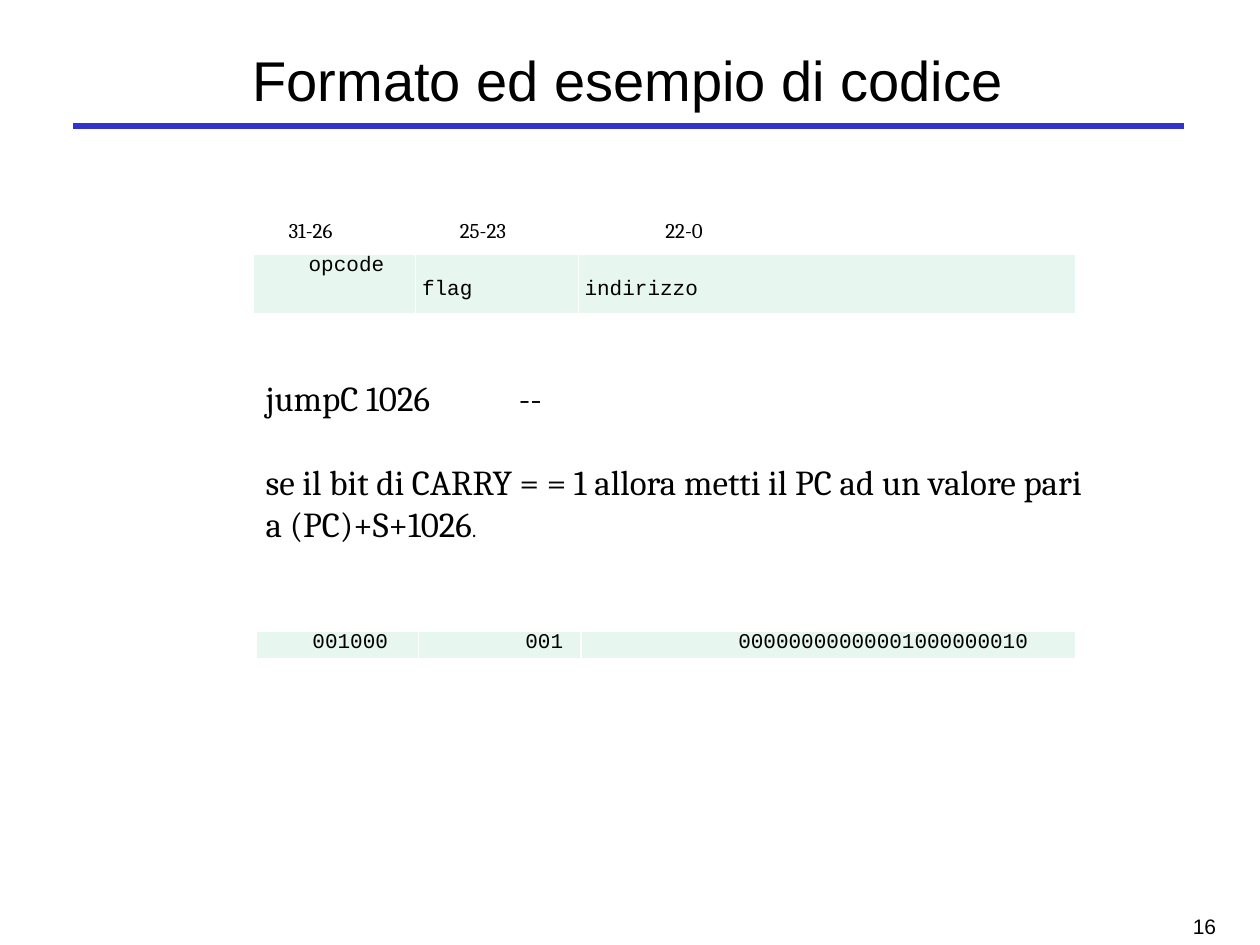
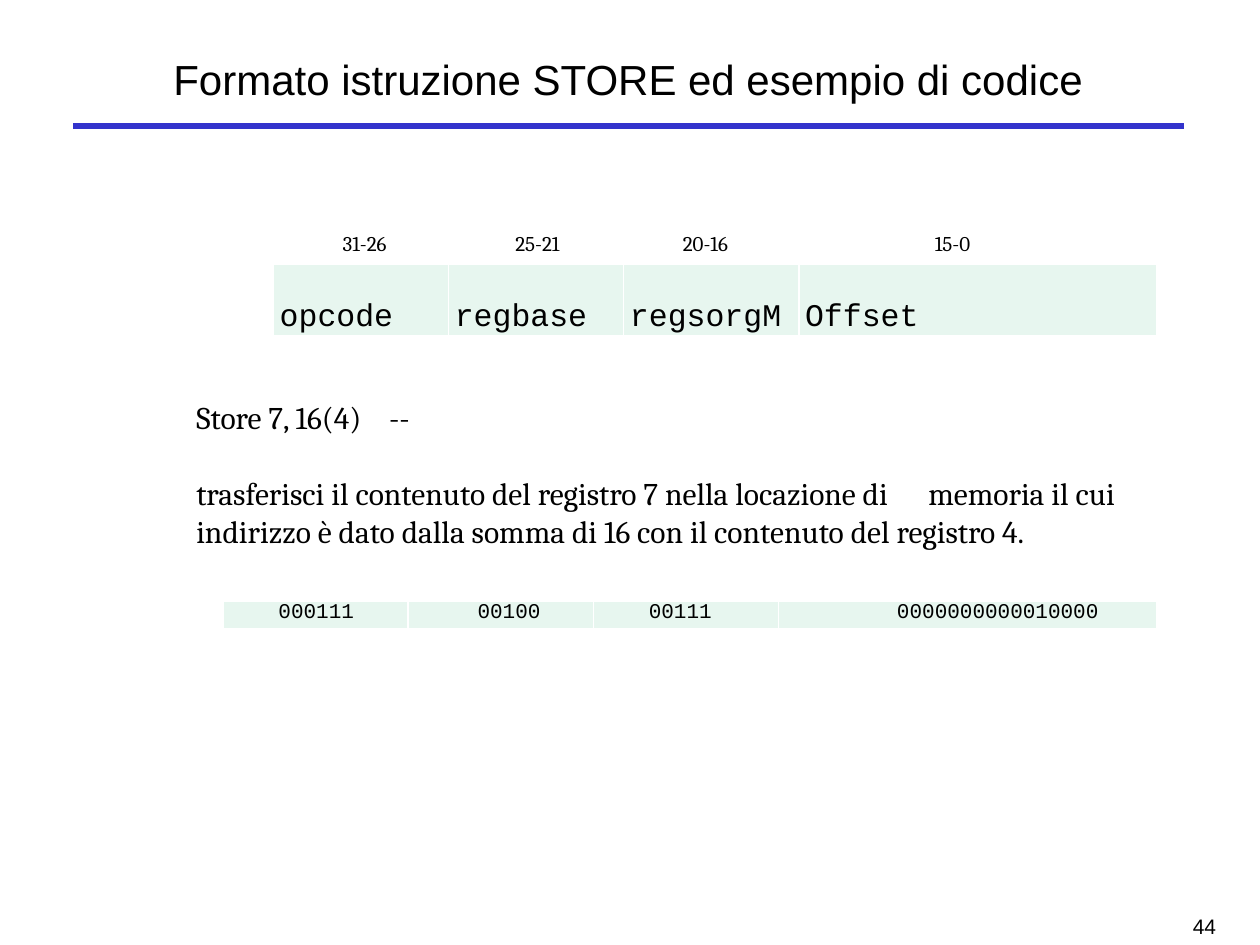
from pptx import Presentation, util as u
from pptx.dml.color import RGBColor
from pptx.enum import shapes, text
from pptx.oxml import ns
from lxml import etree

BLUE = RGBColor(0x33, 0x33, 0xCC)
MINT = RGBColor(0xE7, 0xF6, 0xEF)
WHITE = RGBColor(0xFF, 0xFF, 0xFF)
BLACK = RGBColor(0, 0, 0)

SLIDES = [
    {
        "title": "Formato ed esempio di codice", "size": 32, "page": "16",
        "bits": {"box": (2.01, 1.68, 4.88, 0.61), "inset": 0.28, "stops": (1.36, 2.99),
                 "size": 12, "gap": 0, "lines": ["31-26\t25-23\t22-0"]},
        "body": {"box": (2.01, 2.94, 6.77, 1.75), "inset": 0.1, "stops": (2.01,),
                 "size": 20, "gap": 24,
                 "lines": ["jumpC 1026\t--",
                           "se il bit di CARRY = = 1 allora metti il PC ad un valore pari a (PC)+S+1026"]},
        "end": ".",
        "tables": [
            {"at": (2.01, 2.02), "cols": (1.29, 1.29, 3.95), "high": 0.47, "size": 12,
             "cells": [("opcode", 0.44, 0), ("flag", 0.05, 0.19), ("indirizzo", 0.05, 0.19)]},
            {"at": (2.03, 5.01), "cols": (1.29, 1.29, 3.93), "high": 0.22, "size": 12,
             "cells": [("001000", 0.45, 0), ("001", 0.85, 0),
                       ("00000000000001000000010", 1.25, 0)]},
        ],
    },
    {
        "title": "Formato istruzione STORE ed esempio di codice", "size": 24, "page": "44",
        "bits": {"box": (2.48, 1.78, 6.46, 0.25), "inset": 0.24, "stops": (1.37, 2.7, 4.7),
                 "size": 12, "gap": 0, "lines": ["31-26\t25-21\t20-16\t15-0"]},
        "body": {"box": (1.46, 3.11, 8.03, 1.62), "inset": 0.1, "stops": (1.53, 5.81),
                 "size": 18, "gap": 22,
                 "lines": ["Store 7, 16(4)\t--",
                           "trasferisci il contenuto del registro 7 nella locazione di\tmemoria il cui "
                           "indirizzo è dato dalla somma di 16 con il contenuto del registro 4."]},
        "end": "",
        "tables": [
            {"at": (2.17, 2.1), "cols": (1.39, 1.39, 1.39, 2.84), "high": 0.56, "size": 18,
             "cells": [(name, 0.05, 0.28) for name in ("opcode", "regbase", "regsorgM", "Offset")]},
            {"at": (1.77, 4.77), "cols": (1.47, 1.47, 1.47, 3), "high": 0.22, "size": 12,
             "cells": [("000111", 0.44, 0), ("00100", 0.55, 0), ("00111", 0.44, 0),
                       ("0000000000010000", 0.94, 0)]},
        ],
    },
]


def style(item, look):
    for key, value in look.items():
        setattr(item, key, value)


def write(para, words, name, size):
    run = para.add_run()
    run.text = words
    style(run.font, {"name": name, "size": u.Pt(size), "bold": False})
    run.font.color.rgb = BLACK


deck = Presentation()
style(deck, {"slide_width": u.Inches(10), "slide_height": u.Inches(7.5)})

for data in SLIDES:
    slide = deck.slides.add_slide(deck.slide_layouts[5])

    rule = slide.shapes.add_connector(shapes.MSO_CONNECTOR.STRAIGHT,
                                      *map(u.Inches, (0.58, 1, 9.4, 1)))
    rule.line.color.rgb = BLUE
    rule.line.width = u.Pt(3.75)
    etree.SubElement(rule._element.spPr, ns.qn("a:effectLst"))

    title = slide.shapes.title
    style(title, {"left": u.Inches(0.61), "top": u.Inches(0.25),
                  "width": u.Inches(8.75), "height": u.Inches(0.75)})
    title.text_frame.vertical_anchor = text.MSO_ANCHOR.MIDDLE
    head = title.text_frame.paragraphs[0]
    head.alignment = text.PP_ALIGN.CENTER
    write(head, data["title"], "Arial", data["size"])

    for part in data["tables"]:
        frame = slide.shapes.add_table(1, len(part["cols"]), *map(u.Inches, part["at"]),
                                       u.Inches(sum(part["cols"])), u.Inches(part["high"]))
        grid = frame.table
        style(grid, {"first_row": False, "horz_banding": False})
        for col, wide in zip(grid.columns, part["cols"]):
            col.width = u.Inches(wide)
        for cell, (words, left, top) in zip(grid.rows[0].cells, part["cells"]):
            style(cell, {"margin_left": u.Inches(left), "margin_top": u.Inches(top),
                         "margin_right": 0, "margin_bottom": 0})
            write(cell.text_frame.paragraphs[0], words, "Courier New", part["size"])
            props = cell._tc.get_or_add_tcPr()
            for side in ("lnL", "lnR", "lnT", "lnB"):
                edge = etree.SubElement(props, ns.qn("a:" + side), w=str(u.Pt(1)))
                fill = etree.SubElement(edge, ns.qn("a:solidFill"))
                etree.SubElement(fill, ns.qn("a:srgbClr"), val=str(WHITE))
            cell.fill.solid()
            cell.fill.fore_color.rgb = MINT

    for part in (data["bits"], data["body"]):
        frame = slide.shapes.add_textbox(*map(u.Inches, part["box"])).text_frame
        style(frame, {"word_wrap": True, "margin_left": u.Inches(part["inset"]),
                      "vertical_anchor": text.MSO_ANCHOR.TOP})
        for num, line in enumerate(part["lines"]):
            para = frame.add_paragraph() if num else frame.paragraphs[0]
            para.space_after = u.Pt(0 if num else part["gap"])
            tabs = etree.SubElement(para._p.get_or_add_pPr(), ns.qn("a:tabLst"))
            for stop in part["stops"]:
                etree.SubElement(tabs, ns.qn("a:tab"), pos=str(u.Inches(stop)), algn="l")
            write(para, line, "Cambria", part["size"])
    if data["end"]:
        write(para, data["end"], "Cambria", 12)

    foot = slide.shapes.add_textbox(*map(u.Inches, (7.67, 7, 2.08, 0.5))).text_frame
    style(foot, {"word_wrap": True, "vertical_anchor": text.MSO_ANCHOR.BOTTOM})
    foot.paragraphs[0].alignment = text.PP_ALIGN.RIGHT
    write(foot.paragraphs[0], data["page"], "Arial", 12)

deck.save("out.pptx")
